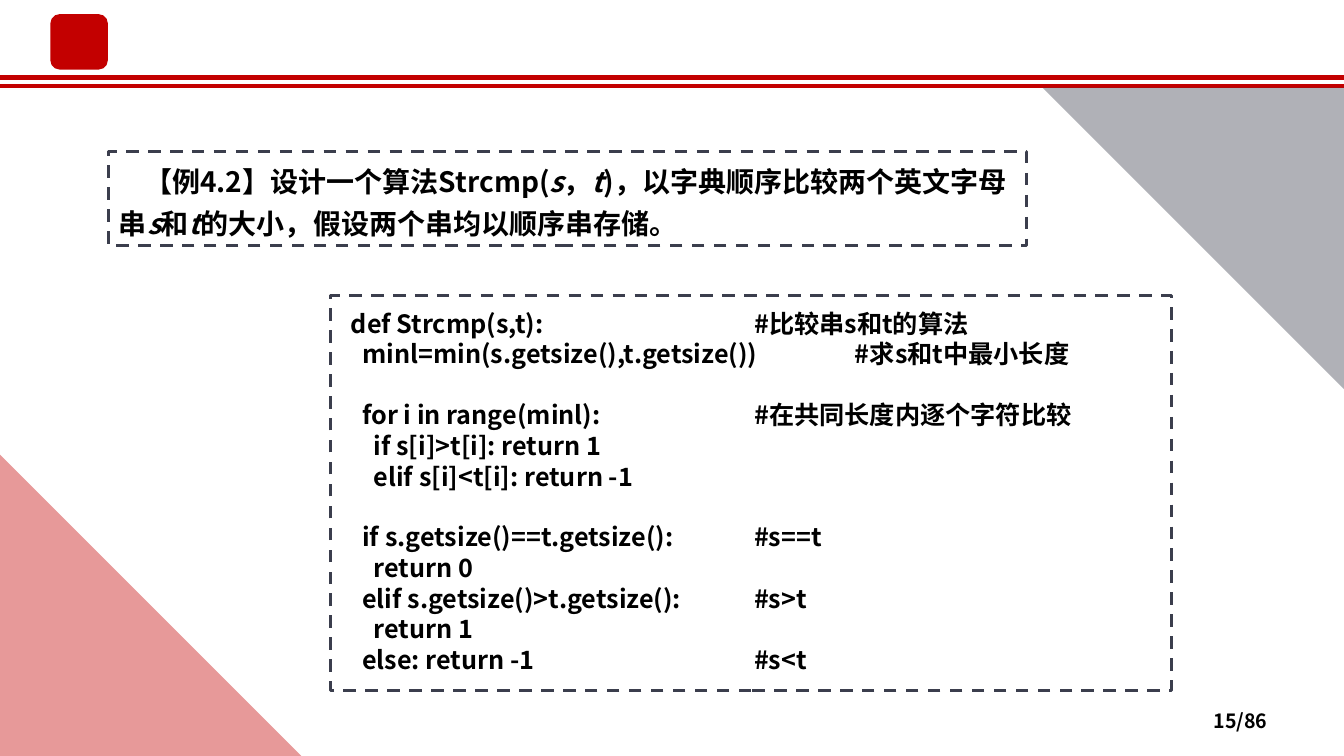
from lxml.etree import SubElement
from pptx import Presentation
from pptx.dml.color import RGBColor
from pptx.enum.dml import MSO_LINE
from pptx.enum.shapes import MSO_CONNECTOR, MSO_SHAPE
from pptx.enum.text import MSO_ANCHOR, MSO_AUTO_SIZE, PP_ALIGN
from pptx.oxml.ns import qn
from pptx.util import Inches, Pt

FONT = "Noto Sans CJK SC"
RED, SLATE, WHITE, BLACK = "C30000", "3B3E4D", "FFFFFF", "000000"
WIDTH, HEIGHT = 13.33, 7.5
CORNER = 2.99
RULES = (0.77, 0.85)
COMMENT_STOPS = (4, 5)

# (text, italic)
QUESTION = [
    ("【例4.2】设计一个算法Strcmp(", False),
    ("s", True), ("，", False), ("t", True),
    (")，以字典顺序比较两个英文字母串", False),
    ("s", True), ("和", False), ("t", True),
    ("的大小，假设两个串均以顺序串存储。", False),
]
# (code, comment, starts a new block)
CODE = [
    ("def Strcmp(s,t):", "#比较串s和t的算法", False),
    ("  minl=min(s.getsize(),t.getsize()) ", "#求s和t中最小长度", False),
    ("  for i in range(minl):", "#在共同长度内逐个字符比较", True),
    ("    if s[i]>t[i]: return 1", "", False),
    ("    elif s[i]<t[i]: return -1", "", False),
    ("  if s.getsize()==t.getsize():", "#s==t", True),
    ("    return 0", "", False),
    ("  elif s.getsize()>t.getsize():", "#s>t", False),
    ("    return 1", "", False),
    ("  else: return -1", "#s<t", False),
]
PAGE = "15/86"


def color(hex_code):
    return RGBColor.from_string(hex_code)


def inches(*lengths):
    return [Inches(length) for length in lengths]


def add_text(paragraph, text, size=18, bold=True, italic=False):
    run = paragraph.add_run()
    run.text = text
    font = run.font
    font.name, font.size, font.bold, font.italic = FONT, Pt(size), bold, italic
    font.color.rgb = color(BLACK)
    SubElement(font._element, qn("a:ea"), typeface=FONT)


def set_frame(frame, insets=(0.1, 0.05, 0.1, 0.05), anchor=MSO_ANCHOR.TOP):
    frame.word_wrap = True
    frame.auto_size = MSO_AUTO_SIZE.NONE
    frame.vertical_anchor = anchor
    (frame.margin_left, frame.margin_top,
     frame.margin_right, frame.margin_bottom) = inches(*insets)
    return frame


def dash_outline(shape):
    shape.line.color.rgb = color(SLATE)
    shape.line.width = Pt(2.25)
    shape.line.dash_style = MSO_LINE.DASH


def add_filled(slide, preset, box, fill, alpha=None):
    shape = slide.shapes.add_shape(preset, *inches(*box))
    shape.shadow.inherit = False
    shape.fill.solid()
    shape.fill.fore_color.rgb = color(fill)
    shape.line.fill.background()
    if alpha:
        tint = shape._element.spPr.find(qn("a:solidFill"))[0]
        SubElement(tint, qn("a:alpha"), val=str(alpha * 1000))
    return shape


def add_rule(slide, y):
    rule = slide.shapes.add_connector(
        MSO_CONNECTOR.STRAIGHT, *inches(0, y, WIDTH, y))
    rule.line.color.rgb = color(RED)
    rule.line.width = Pt(3)
    SubElement(rule._element.spPr, qn("a:effectLst"))


def add_question(slide):
    title = slide.shapes.title
    title.left, title.top, title.width, title.height = inches(1.08, 1.5, 9.1, 0.94)
    dash_outline(title)
    paragraph = set_frame(title.text_frame).paragraphs[0]
    paragraph.alignment = PP_ALIGN.LEFT
    paragraph.line_spacing = Pt(30)
    paragraph._p.get_or_add_pPr().set("indent", str(Inches(0.25)))
    for text, italic in QUESTION:
        add_text(paragraph, text, size=20, italic=italic)


def add_code(slide):
    panel = add_filled(slide, MSO_SHAPE.RECTANGLE, (3.28, 2.93, 8.34, 3.92), WHITE)
    dash_outline(panel)
    frame = set_frame(panel.text_frame, (0.2, 0.12, 0.1, 0.12))
    for number, (code, comment, new_block) in enumerate(CODE):
        paragraph = frame.add_paragraph() if number else frame.paragraphs[0]
        paragraph.alignment = PP_ALIGN.LEFT
        paragraph.line_spacing = 2.0 if new_block else Pt(22)
        if comment:
            stops = SubElement(paragraph._p.get_or_add_pPr(), qn("a:tabLst"))
            for stop in COMMENT_STOPS:
                SubElement(stops, qn("a:tab"), pos=str(Inches(stop)), algn="l")
        add_text(paragraph, f"{code}\t{comment}" if comment else code)


def add_page_number(slide):
    box = slide.shapes.add_textbox(*inches(9.56, 6.95, 3.11, 0.4))
    paragraph = set_frame(box.text_frame, anchor=MSO_ANCHOR.MIDDLE).paragraphs[0]
    paragraph.alignment = PP_ALIGN.RIGHT
    add_text(paragraph, PAGE, size=14)


def main():
    deck = Presentation()
    deck.slide_width, deck.slide_height = inches(WIDTH, HEIGHT)
    slide = deck.slides.add_slide(deck.slide_layouts[5])
    for y in RULES:
        add_rule(slide, y)
    add_filled(slide, MSO_SHAPE.ROUNDED_RECTANGLE, (0.5, 0.14, 0.57, 0.55), RED)
    add_code(slide)
    add_question(slide)
    add_page_number(slide)
    add_filled(slide, MSO_SHAPE.RIGHT_TRIANGLE,
               (0, HEIGHT - CORNER, CORNER, CORNER), RED, alpha=40)
    upper = add_filled(slide, MSO_SHAPE.RIGHT_TRIANGLE,
                       (WIDTH - CORNER, 0.87, CORNER, CORNER), SLATE, alpha=40)
    upper.rotation = 180
    deck.save("out.pptx")


if __name__ == "__main__":
    main()
